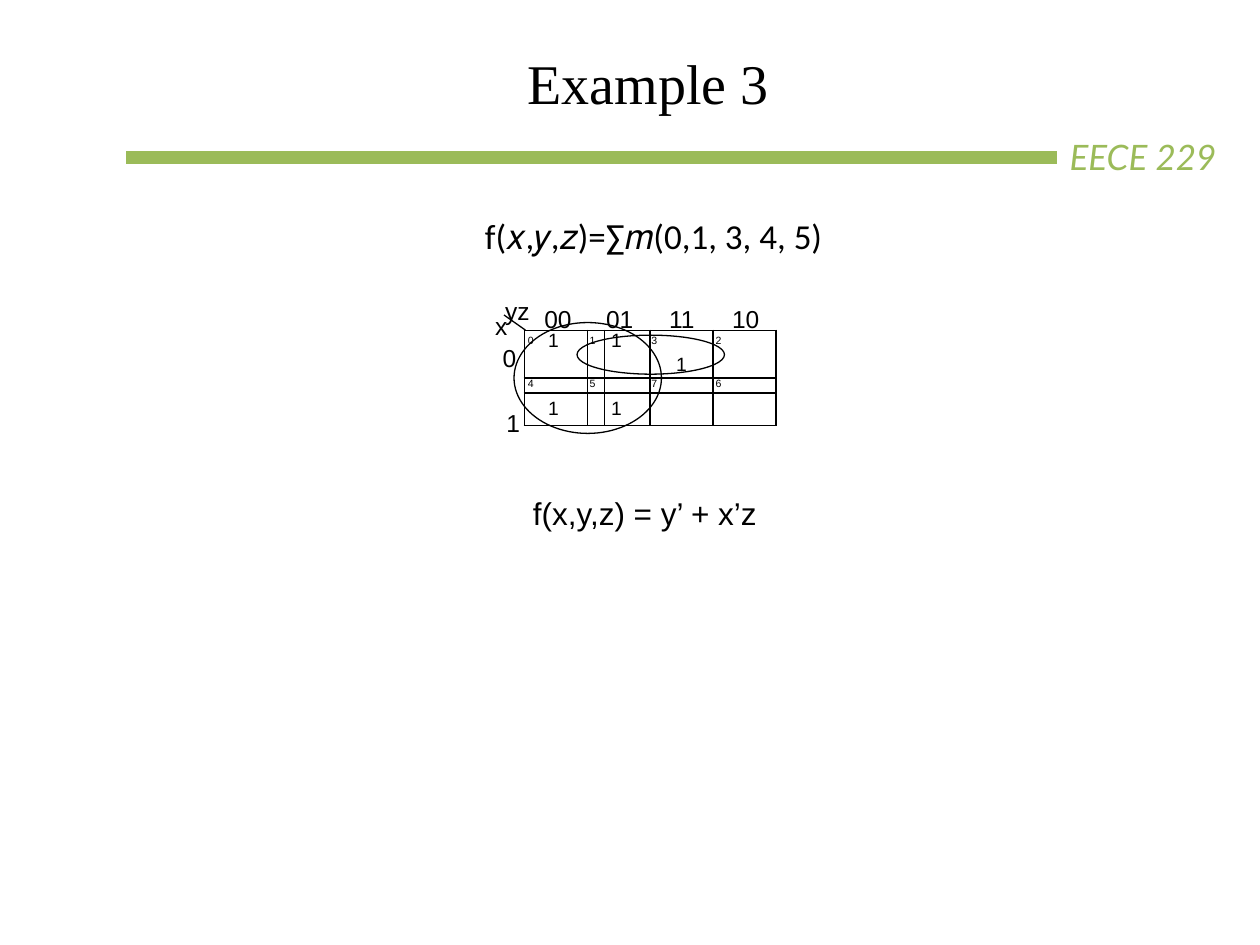
import pptx
import pptx.util
import pptx.dml.color
import pptx.enum.shapes
import pptx.enum.text
import pptx.oxml.ns
import lxml.etree

Inches = pptx.util.Inches
Pt = pptx.util.Pt
qn = pptx.oxml.ns.qn
Align = pptx.enum.text.PP_ALIGN


def color(text):
    return pptx.dml.color.RGBColor.from_string(text)


def style(para, size, font="Arial", ink="000000", indent=0):
    if indent:
        para._p.get_or_add_pPr().set("marL", str(Inches(indent)))
    for run in para.runs:
        run.font.size = Pt(size)
        run.font.name = font
        run.font.color.rgb = color(ink)


deck = pptx.Presentation()
deck.slide_width = Inches(10)
deck.slide_height = Inches(7.5)
slide = deck.slides.add_slide(deck.slide_layouts[5])
shapes = slide.shapes

title = shapes.title
title.left, title.top = Inches(-0.83), Inches(0.22)
title.width, title.height = Inches(9), Inches(0.7)
frame = title.text_frame
frame.text = "Example 3"
frame.vertical_anchor = pptx.enum.text.MSO_ANCHOR.MIDDLE
frame.margin_left = frame.margin_right = frame.margin_bottom = 0
frame.margin_top = Inches(0.16)
frame.paragraphs[0].alignment = Align.CENTER
style(frame.paragraphs[0], 32, "Times New Roman", indent=2.95)

lines = [
    (1, 1.25, 8.39, 1.25, "9BBB59", 8),
    (4, 2.5, 4.17, 2.62, "000000", 0.75),
]
for left, top, right, low, ink, width in lines:
    line = shapes.add_connector(
        pptx.enum.shapes.MSO_CONNECTOR.STRAIGHT,
        Inches(left), Inches(top), Inches(right), Inches(low))
    line.line.color.rgb = color(ink)
    line.line.width = Pt(width)
    lxml.etree.SubElement(line._element.spPr, qn("a:effectLst"))

wide = [
    ("EECE 229", 8.39, 1.03, 1.67, "Lato", "9BBB59", True),
    ("f(𝑥,𝑦,𝑧)=∑𝑚(0,1, 3, 4, 5)", 3.75, 1.65, 2.99, "Calibri", "000000", None),
]
for text, left, top, width, font, ink, slant in wide:
    box = shapes.add_textbox(Inches(left), Inches(top), Inches(width), Inches(0.44))
    box.text_frame.text = text
    para = box.text_frame.paragraphs[0]
    style(para, 20, font, ink)
    para.runs[0].font.italic = slant

labels = [
    ("x", 3.92, 2.47, 0.13, 0.24, 14),
    ("yz", 4, 2.35, 0.22, 0.24, 14),
    ("0\n1", 3.98, 2.72, 0.16, 0.75, 14),
    ("00\t01\t11\t10", 4.31, 2.41, 1.72, 0.24, 14),
    ("f(x,y,z) = y’ + x’z", 4.22, 3.92, 2, 0.3, 18),
]
for text, left, top, width, height, size in labels:
    box = shapes.add_textbox(Inches(left), Inches(top), Inches(width), Inches(height))
    frame = box.text_frame
    frame.word_wrap = True
    frame.margin_left = frame.margin_right = 0
    frame.margin_top = frame.margin_bottom = 0
    frame.text = text
    for row, para in enumerate(frame.paragraphs):
        style(para, size, indent=0.01 + 0.03 * row)
        if row:
            para.space_before = Pt(20.5)
        if "\t" in text:
            tabs = lxml.etree.SubElement(para._p.get_or_add_pPr(), qn("a:tabLst"))
            for stop in (0.49, 0.99, 1.49):
                lxml.etree.SubElement(
                    tabs, qn("a:tab"), pos=str(Inches(stop)), algn="l")

for left, top, width, height in [(4.08, 2.56, 1.17, 0.88), (4.58, 2.66, 1.17, 0.31)]:
    loop = shapes.add_shape(
        pptx.enum.shapes.MSO_SHAPE.OVAL,
        Inches(left), Inches(top), Inches(width), Inches(height))
    loop.shadow.inherit = False
    loop.fill.background()
    loop.line.color.rgb = color("000000")
    loop.line.width = Pt(0.75)

cols = [0.14, 0.36, 0.14, 0.36, 0.5, 0.5]
rows = [0.38, 0.12, 0.26]
texts = [
    ["0", "1", "1", "1", "3\n1", "2"],
    ["4", "", "5", "", "7", "6"],
    ["", "1", "", "1", "", ""],
]
indents = [0.03, 0.05, 0.02, 0.05, 0.01, 0.02]
grid = shapes.add_table(3, 6, Inches(4.16), Inches(2.62), Inches(2), Inches(0.76)).table
grid.first_row = grid.horz_banding = False
for col, width in enumerate(cols):
    grid.columns[col].width = Inches(width)
for row, height in enumerate(rows):
    grid.rows[row].height = Inches(height)
    for col, text in enumerate(texts[row]):
        cell = grid.cell(row, col)
        cell.margin_left = cell.margin_right = 0
        cell.margin_top = cell.margin_bottom = 0
        frame = cell.text_frame
        frame.text = text
        for step, para in enumerate(frame.paragraphs):
            large = step == 1 or row == 2 or (row == 0 and col in (1, 3))
            style(para, 11 if large else 6, indent=0 if step else indents[col])
            if step:
                para.alignment = Align.CENTER
                para.line_spacing = Pt(16.4)
            elif row == 0 and not large:
                para.line_spacing = Pt(9.6)
            elif row == 2 and text:
                para.line_spacing = Pt(15)
            if not text:
                lxml.etree.SubElement(para._p, qn("a:endParaRPr"), sz="600")
        props = cell._tc.get_or_add_tcPr()
        for side in ("lnL", "lnR", "lnT", "lnB"):
            bare = (side == "lnR" and col == 0) or (side == "lnL" and col == 1)
            thick = (side == "lnB" and row == 1) or (side == "lnT" and row == 2)
            edge = lxml.etree.SubElement(
                props, qn("a:" + side), w=str(Pt(1.5 if thick else 0.75)))
            if bare:
                lxml.etree.SubElement(edge, qn("a:noFill"))
            else:
                fill = lxml.etree.SubElement(edge, qn("a:solidFill"))
                lxml.etree.SubElement(fill, qn("a:srgbClr"), val="000000")
        cell.fill.background()

deck.save("out.pptx")
